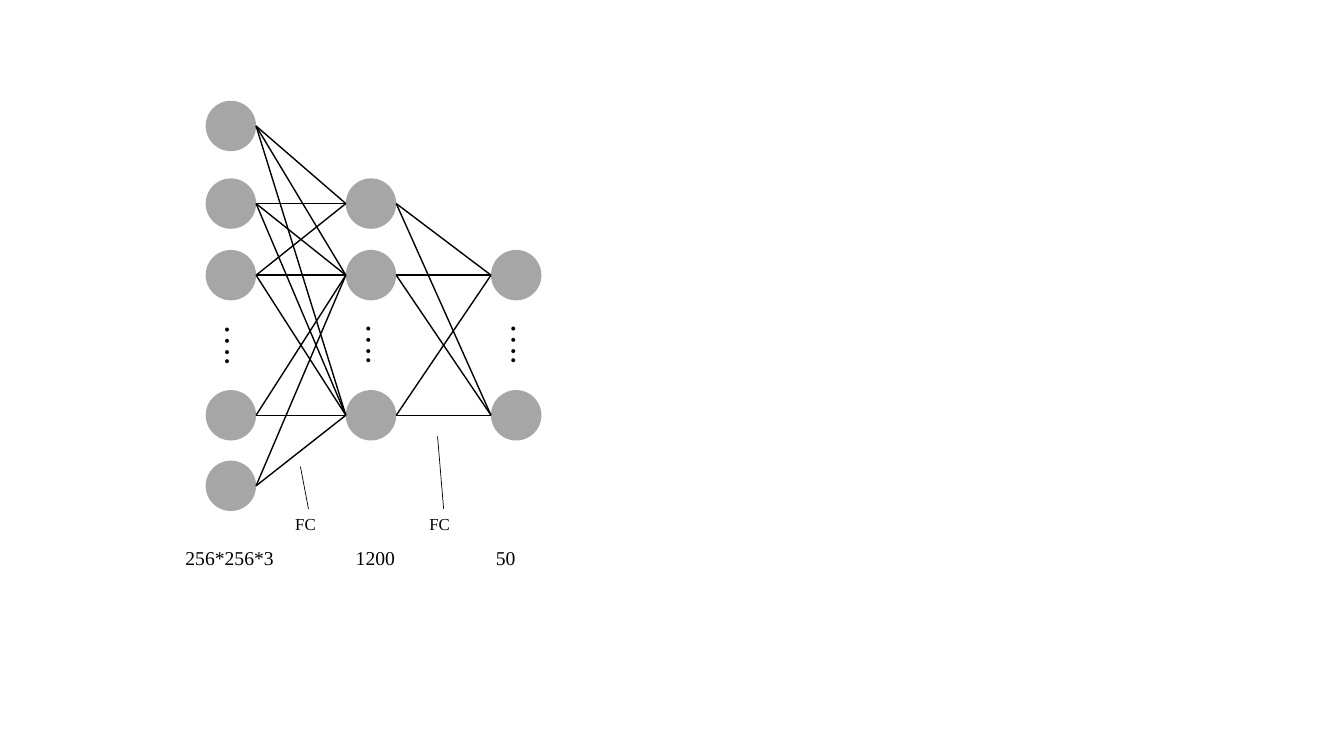
from dataclasses import dataclass

from lxml import etree
from pptx import Presentation
from pptx.dml.color import RGBColor
from pptx.enum.shapes import MSO_CONNECTOR, MSO_SHAPE
from pptx.enum.text import MSO_AUTO_SIZE
from pptx.oxml.ns import qn
from pptx.util import Inches, Pt

NODE = MSO_SHAPE.FLOWCHART_CONNECTOR
STRAIGHT = MSO_CONNECTOR.STRAIGHT
GROW = MSO_AUTO_SIZE.SHAPE_TO_FIT_TEXT


@dataclass(frozen=True)
class Theme:
    ink: RGBColor = RGBColor(0x00, 0x00, 0x00)
    node: RGBColor = RGBColor(0xA6, 0xA6, 0xA6)
    font: str = "Times New Roman"
    dots: int = 24
    size: int = 14
    note: int = 12
    edge: float = 1
    lead: float = 0.5


THEME = Theme()
DIAM = 0.5
ROWS = (1.25, 2.02, 2.73, 4.12, 4.82)
# Left edge of each layer, and the rows its nodes stand on
LAYERS = ((2.04, (0, 1, 2, 3, 4)), (3.43, (1, 2, 3)), (4.87, (2, 3)))
UNLINKED = {(3, 1), (4, 1)}
DOTS = ((2.06, 3.18), (3.46, 3.17), (4.9, 3.17))
SIZES = (("256*256*3", 1.74, 1.09), ("1200", 3.43, 0.59), ("50", 4.82, 0.4))
# Left edge of each note, then its leader's start and end
NOTES = ((2.83, (3.06, 5.05), (2.98, 4.63)),
         (4.16, (4.4, 5.05), (4.34, 4.33)))


def add_text(shapes, text, box, size, wrap=False, turn=0):
    shape = shapes.add_textbox(*map(Inches, box))
    shape.rotation = turn
    frame = shape.text_frame
    frame.word_wrap = wrap
    frame.auto_size = GROW
    run = frame.paragraphs[0].add_run()
    run.text = text
    style = {"name": THEME.font, "size": Pt(size)}
    for key, value in style.items():
        setattr(run.font, key, value)
    run.font.color.rgb = THEME.ink


def add_line(shapes, start, end, width):
    line = shapes.add_connector(STRAIGHT, *map(Inches, (*start, *end)))
    line.line.color.rgb = THEME.ink
    line.line.width = Pt(width)
    etree.SubElement(line._element.spPr, qn("a:effectLst"))


def add_node(shapes, left, mid):
    box = (left, mid - DIAM / 2, DIAM, DIAM)
    node = shapes.add_shape(NODE, *map(Inches, box))
    node.shadow.inherit = False
    node.fill.solid()
    node.fill.fore_color.rgb = THEME.node
    node.line.fill.background()


def link_layers(shapes, source, target):
    """Join the nodes of two layers, except the unlinked pairs."""
    left, rows = source
    right, ends = target
    for end in ends:
        for row in rows:
            if (row, end) not in UNLINKED:
                add_line(shapes, (left + DIAM, ROWS[row]),
                         (right, ROWS[end]), THEME.edge)


def add_net(slide):
    shapes = slide.shapes.add_group_shape().shapes
    for left, rows in LAYERS:
        for row in rows:
            add_node(shapes, left, ROWS[row])
    for source, target in zip(LAYERS, LAYERS[1:]):
        link_layers(shapes, source, target)
    for left, top in DOTS:
        add_text(shapes, "….", (left, top, 0.62, 0.5), THEME.dots, turn=90)


def main():
    deck = Presentation()
    deck.slide_width, deck.slide_height = Inches(13.33), Inches(7.5)
    slide = deck.slides.add_slide(deck.slide_layouts[6])
    add_net(slide)
    for text, left, width in SIZES:
        add_text(slide.shapes, text, (left, 5.37, width, 0.34), THEME.size)
    for left, start, end in NOTES:
        add_text(slide.shapes, "FC", (left, 5.05, 0.46, 0.3), THEME.note,
                 wrap=True)
        add_line(slide.shapes, start, end, THEME.lead)
    deck.save("out.pptx")


if __name__ == "__main__":
    main()
